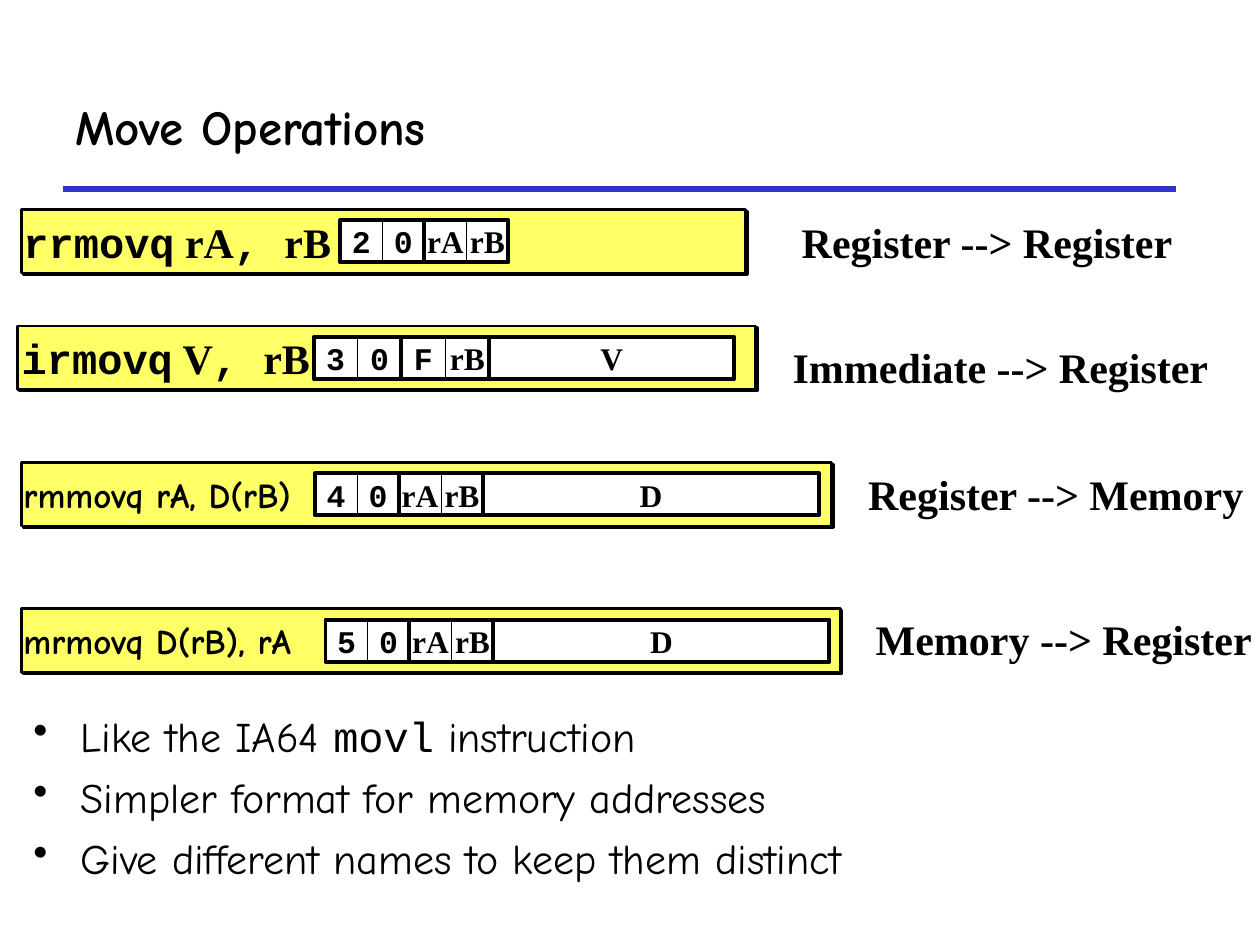
"""Build the "Move Operations" slide showing the four move instruction encodings."""
from typing import NamedTuple, Optional

from lxml.etree import SubElement
from pptx import Presentation
from pptx.dml.color import RGBColor
from pptx.enum.shapes import MSO_CONNECTOR, MSO_SHAPE
from pptx.enum.text import MSO_ANCHOR, MSO_AUTO_SIZE, PP_ALIGN
from pptx.oxml.ns import qn
from pptx.util import Pt

COLORS = {"ink": "000000", "rule": "3333CC", "bar": "FFFF66", "cell": "FFFFFF"}
COMIC, COURIER, TIMES = "Comic Neue", "Courier New", "Times New Roman"
FIELD_HEIGHT = 24
FIELD_INSET = 6.3
SYNTAX_WIDTH = 195


class Span(NamedTuple):
    text: str
    font: str


class Box(NamedTuple):
    left: float
    top: float
    width: float
    height: float


class Instruction(NamedTuple):
    syntax: list[Span]
    syntax_size: float
    syntax_left: float
    bar: Box
    opcode: str
    registers: list[Span]
    fields_left: float
    field_width: float
    constant: str
    constant_width: float
    transfer: str
    transfer_box: Box


INSTRUCTIONS = [
    Instruction([Span("rrmovq", COURIER), Span(" rA", TIMES), Span(", ", COURIER), Span("rB", TIMES)],
                24, 6.3, Box(12.2, 119.6, 414, 36.5), "20",
                [Span("rA", TIMES), Span("rB", TIMES)], 194.5, 24, "", 0,
                "Register --> Register", Box(454.5, 120.3, 219.6, 36.7)),
    Instruction([Span("irmovq", COURIER), Span(" V", TIMES), Span(", ", COURIER), Span("rB", TIMES)],
                24, 5.3, Box(9.9, 186.2, 422, 36.3), "30",
                [Span("F", COURIER), Span("rB", TIMES)], 179.2, 25.1, "V", 140,
                "Immediate --> Register", Box(449.3, 191.6, 245.5, 36.7)),
    Instruction([Span("rmmovq rA, D(rB)", COMIC)],
                20, 6.3, Box(12.2, 264.2, 463, 36.5), "40",
                [Span("rA", TIMES), Span("rB", TIMES)], 180, 24, "D", 192,
                "Register --> Memory", Box(492.5, 264.2, 222.5, 36.7)),
    Instruction([Span("mrmovq D(rB), rA", COMIC)],
                20, 6.3, Box(12.2, 347.8, 468, 36.5), "50",
                [Span("rA", TIMES), Span("rB", TIMES)], 186, 24, "D", 192,
                "Memory --> Register", Box(496.8, 347.2, 222.5, 36.7)),
]

REMARKS = [
    [Span("Like the IA64 ", COMIC), Span("movl", COURIER), Span(" instruction", COMIC)],
    [Span("Simpler format for memory addresses", COMIC)],
    [Span("Give different names to keep them distinct", COMIC)],
]


def color(name: str) -> RGBColor:
    return RGBColor.from_string(COLORS[name])


def write(paragraph, spans: list[Span], size: float, bold: bool = True) -> None:
    for span in spans:
        run = paragraph.add_run()
        run.text = span.text
        run.font.name = span.font
        run.font.size = Pt(size)
        run.font.bold = bold
        run.font.color.rgb = color("ink")


def add_rectangle(slide, box: Box, fill: Optional[str], line_width: float):
    rectangle = slide.shapes.add_shape(MSO_SHAPE.RECTANGLE, *map(Pt, box))
    rectangle.shadow.inherit = False
    if fill:
        rectangle.fill.solid()
        rectangle.fill.fore_color.rgb = color(fill)
    else:
        rectangle.fill.background()
    rectangle.line.color.rgb = color("ink")
    rectangle.line.width = Pt(line_width)
    return rectangle


def add_bar(slide, box: Box) -> None:
    bar = add_rectangle(slide, box, "bar", 1.5)
    effects = bar.element.spPr.find(qn("a:effectLst"))
    shadow = SubElement(effects, qn("a:outerShdw"), blurRad="0", dist=str(Pt(1.4)),
                        dir="2700000", algn="ctr", rotWithShape="0")
    SubElement(shadow, qn("a:srgbClr"), val=COLORS["ink"])


def add_field(slide, box: Box, span: Span, line_width: float) -> None:
    field = add_rectangle(slide, box, "cell", line_width)
    frame = field.text_frame
    frame.word_wrap = False
    frame.vertical_anchor = MSO_ANCHOR.MIDDLE
    frame.paragraphs[0].alignment = PP_ALIGN.CENTER
    write(frame.paragraphs[0], [span], 18)


def add_field_pair(slide, left: float, top: float, width: float, spans: list[Span]) -> None:
    for index, span in enumerate(spans):
        add_field(slide, Box(left + index * width, top, width, FIELD_HEIGHT), span, 0.5)
    add_rectangle(slide, Box(left, top, 2 * width, FIELD_HEIGHT), None, 2.25)


def add_text(slide, box: Box, lines: list[list[Span]], size: float, bold: bool = True,
             wrap: bool = False, anchor: MSO_ANCHOR = MSO_ANCHOR.MIDDLE):
    frame = slide.shapes.add_textbox(*map(Pt, box)).text_frame
    frame.word_wrap = wrap
    frame.vertical_anchor = anchor
    for index, spans in enumerate(lines):
        paragraph = frame.add_paragraph() if index else frame.paragraphs[0]
        if index:
            paragraph.space_before = Pt(6)
        write(paragraph, spans, size, bold)
    return frame


def add_instruction(slide, instruction: Instruction) -> None:
    add_bar(slide, instruction.bar)
    top = instruction.bar.top + FIELD_INSET
    left, width = instruction.fields_left, instruction.field_width
    add_text(slide, Box(instruction.syntax_left, top, SYNTAX_WIDTH, FIELD_HEIGHT),
             [instruction.syntax], instruction.syntax_size)
    opcode = [Span(digit, COURIER) for digit in instruction.opcode]
    add_field_pair(slide, left, top, width, opcode)
    add_field_pair(slide, left + 2 * width, top, width, instruction.registers)
    if instruction.constant:
        add_field(slide, Box(left + 4 * width, top, instruction.constant_width, FIELD_HEIGHT),
                  Span(instruction.constant, TIMES), 2.25)
    transfer = add_text(slide, instruction.transfer_box, [[Span(instruction.transfer, TIMES)]],
                        24, anchor=MSO_ANCHOR.TOP)
    transfer.margin_left = transfer.margin_right = Pt(3.6)
    transfer.auto_size = MSO_AUTO_SIZE.SHAPE_TO_FIT_TEXT


def add_remarks(slide) -> None:
    remarks = add_text(slide, Box(12, 402.5, 607, 122.5), REMARKS, 24, bold=False,
                       wrap=True, anchor=MSO_ANCHOR.TOP)
    for paragraph in remarks.paragraphs:
        properties = paragraph._p.get_or_add_pPr()
        properties.set("marL", str(Pt(27)))
        properties.set("indent", str(Pt(-27)))
        bullet_color = SubElement(properties, qn("a:buClr"))
        SubElement(bullet_color, qn("a:srgbClr"), val=COLORS["ink"])
        SubElement(properties, qn("a:buChar"), char="•")


def add_heading(slide) -> None:
    rule = slide.shapes.add_connector(MSO_CONNECTOR.STRAIGHT, Pt(36), Pt(108), Pt(672), Pt(108))
    rule.line.color.rgb = color("rule")
    rule.line.width = Pt(3)
    SubElement(rule.element.spPr, qn("a:effectLst"))
    add_text(slide, Box(36, 36, 636, 72), [[Span("Move Operations", COMIC)]], 28, wrap=True)


def main() -> None:
    presentation = Presentation()
    presentation.slide_width, presentation.slide_height = Pt(720), Pt(540)
    slide = presentation.slides.add_slide(presentation.slide_layouts[6])
    add_heading(slide)
    add_remarks(slide)
    for instruction in INSTRUCTIONS:
        add_instruction(slide, instruction)
    presentation.save("out.pptx")


if __name__ == "__main__":
    main()
